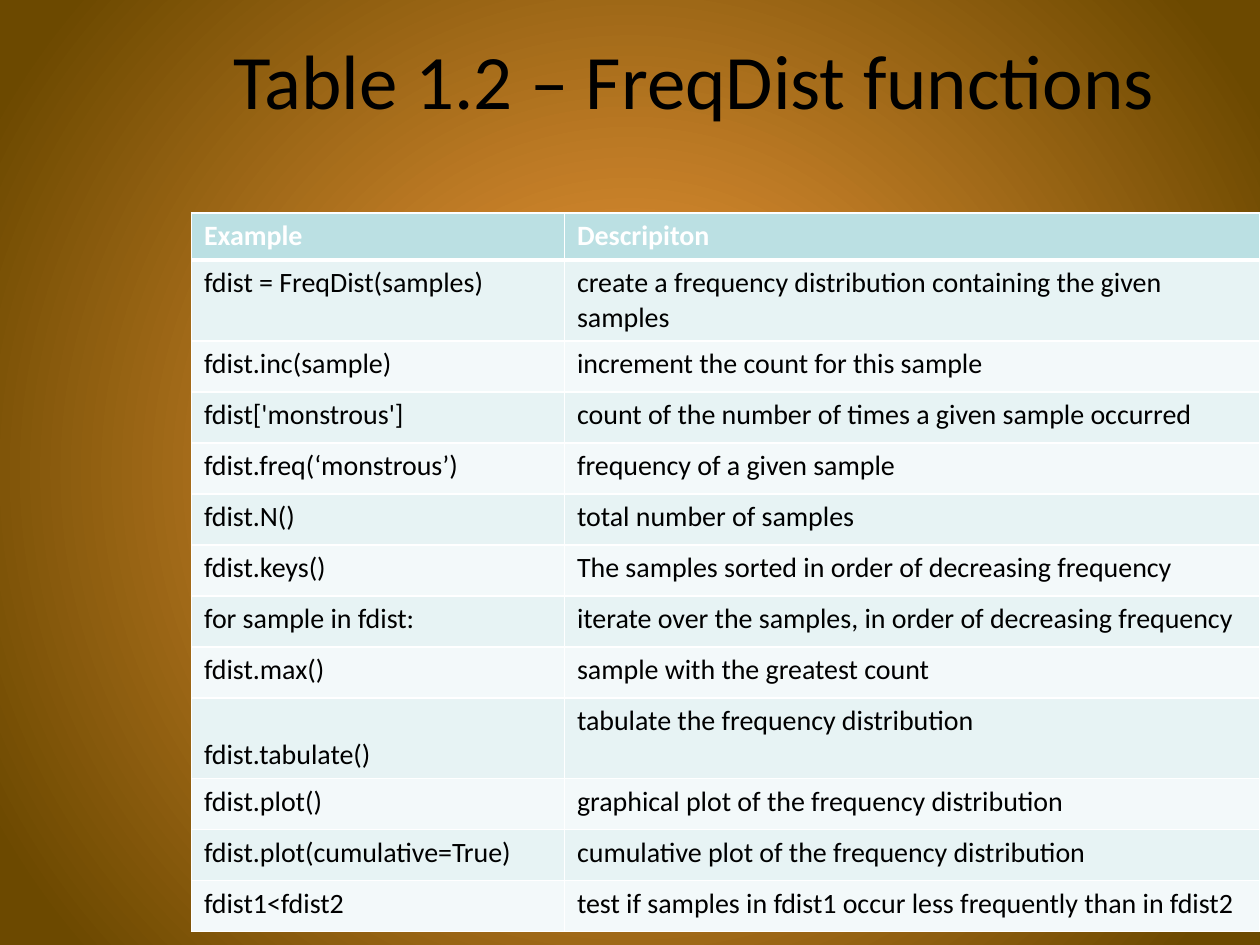
from lxml.etree import SubElement
from pptx import Presentation
from pptx.dml.color import RGBColor
from pptx.enum.text import MSO_ANCHOR, PP_ALIGN
from pptx.oxml.ns import qn
from pptx.util import Inches, Pt

COLORS = {
    "glow": "FBA041",
    "edge": "6C4900",
    "ink": "000000",
    "white": "FFFFFF",
    "head": "BBE0E3",
    "odd": "E7F3F4",
    "even": "F3F9FA",
}
TITLE = {"name": "Calibri", "size": Pt(44), "bold": False}
HEAD = {"name": "Calibri", "size": Pt(16), "bold": True}
BODY = {"name": "Calibri", "size": Pt(16), "bold": False}
ROWS = [
    ("Example", "Descripiton"),
    ("fdist = FreqDist(samples)", "create a frequency distribution containing the given samples"),
    ("fdist.inc(sample)", "increment the count for this sample"),
    ("fdist['monstrous']", "count of the number of times a given sample occurred"),
    ("fdist.freq(‘monstrous’)", "frequency of a given sample"),
    ("fdist.N()", "total number of samples"),
    ("fdist.keys()", "The samples sorted in order of decreasing frequency"),
    ("for sample in fdist:", "iterate over the samples, in order of decreasing frequency"),
    ("fdist.max()", "sample with the greatest count"),
    ("fdist.tabulate()", "tabulate the frequency distribution"),
    ("fdist.plot()", "graphical plot of the frequency distribution"),
    ("fdist.plot(cumulative=True)", "cumulative plot of the frequency distribution"),
    ("fdist1<fdist2", "test if samples in fdist1 occur less frequently than in fdist2"),
]
WIDTHS = (2.96, 5.52)
TALL = {0: 0.37, 1: 0.64, 9: 0.64}
LOW = "fdist.tabulate()"


def rgb(key):
    return RGBColor.from_string(COLORS[key])


def style(part, font, color):
    for key, value in font.items():
        setattr(part.font, key, value)
    part.font.color.rgb = rgb(color)


def paint_back(slide):
    fill = slide.background.fill
    fill.gradient()
    for stop, key, place in zip(fill.gradient_stops, ("glow", "edge"), (0, 0.93)):
        stop.color.rgb = rgb(key)
        stop.position = place
    line = next(slide.element.iter(qn("a:lin")))
    grad = line.getparent()
    grad.remove(line)
    ring = SubElement(grad, qn("a:path"), path="circle")
    SubElement(ring, qn("a:fillToRect"), {side: "50000" for side in "ltrb"})


def add_title(slide, text):
    title = slide.shapes.title
    spot = {"left": 1.52, "top": 0, "width": 7.98, "height": 1.25}
    for key, value in spot.items():
        setattr(title, key, Inches(value))
    frame = title.text_frame
    frame.text = text
    frame.vertical_anchor = MSO_ANCHOR.MIDDLE
    para = frame.paragraphs[0]
    para.alignment = PP_ALIGN.CENTER
    style(para.runs[0], TITLE, "ink")


def add_edges(cell, base):
    props = cell._tc.get_or_add_tcPr()
    for side, width in {"L": 1, "R": 1, "T": 1, "B": base}.items():
        line = SubElement(props, qn(f"a:ln{side}"), w=str(Pt(width)))
        fill = SubElement(line, qn("a:solidFill"))
        SubElement(fill, qn("a:srgbClr"), val=COLORS["white"])


def fill_cell(cell, text, row):
    head = row == 0
    add_edges(cell, 3 if head else 1)
    cell.fill.solid()
    cell.fill.fore_color.rgb = rgb("head" if head else "odd" if row % 2 else "even")
    cell.text = text
    cell.vertical_anchor = MSO_ANCHOR.BOTTOM if text == LOW else MSO_ANCHOR.TOP
    run = cell.text_frame.paragraphs[0].runs[0]
    style(run, HEAD if head else BODY, "white" if head else "ink")


def add_grid(slide):
    heights = [TALL.get(row, 0.405) for row in range(len(ROWS))]
    frame = slide.shapes.add_table(
        len(ROWS), len(WIDTHS), Inches(1.52), Inches(1.69),
        Inches(sum(WIDTHS)), Inches(sum(heights)),
    )
    table = frame.table
    for col, width in zip(table.columns, WIDTHS):
        col.width = Inches(width)
    for row, (texts, height) in enumerate(zip(ROWS, heights)):
        table.rows[row].height = Inches(height)
        for col, text in enumerate(texts):
            fill_cell(table.cell(row, col), text, row)


def main():
    deck = Presentation()
    deck.slide_width, deck.slide_height = Inches(10), Inches(7.5)
    slide = deck.slides.add_slide(deck.slide_layouts[5])
    paint_back(slide)
    add_title(slide, "Table 1.2 – FreqDist functions")
    add_grid(slide)
    deck.save("out.pptx")


if __name__ == "__main__":
    main()
